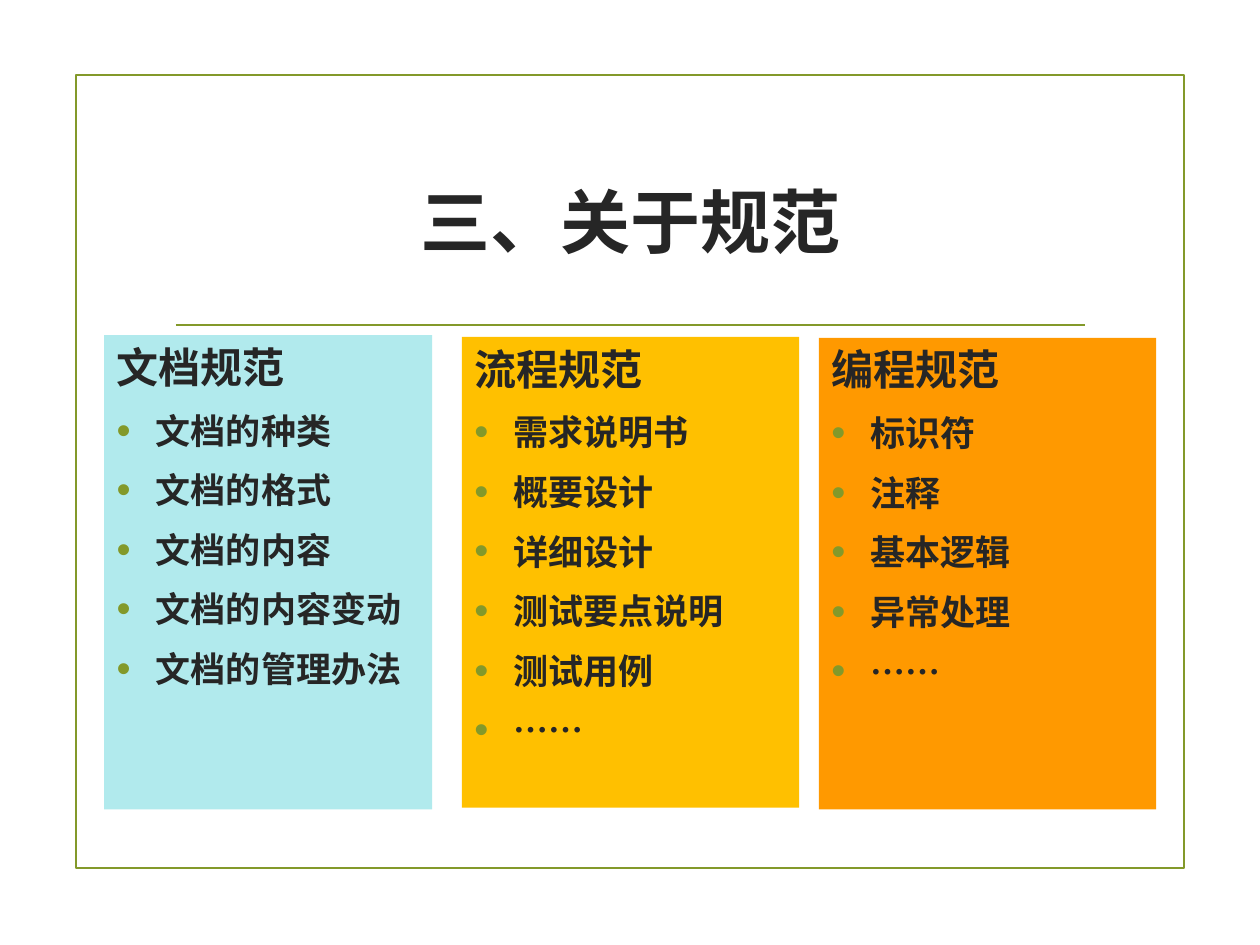
from dataclasses import dataclass

import pptx
import pptx.dml.color
import pptx.enum.shapes
import pptx.enum.text
import pptx.oxml.ns
import pptx.slide
import pptx.text.text
import pptx.util
from lxml import etree

Pt = pptx.util.Pt
RGBColor = pptx.dml.color.RGBColor
PP_ALIGN = pptx.enum.text.PP_ALIGN
MSO_ANCHOR = pptx.enum.text.MSO_ANCHOR
MSO_SHAPE = pptx.enum.shapes.MSO_SHAPE
qn = pptx.oxml.ns.qn

FONT = "Noto Sans CJK SC"
INK = RGBColor(0x26, 0x26, 0x26)
OLIVE = RGBColor(0x83, 0x99, 0x2A)
AQUA = RGBColor(0xB1, 0xEA, 0xED)
AMBER = RGBColor(0xFF, 0xC0, 0x00)
ORANGE = RGBColor(0xFF, 0x99, 0x00)
RULE_WIDTH = 1.25
BULLET_INDENT = 22.5


@dataclass
class Column:
    left: float
    top: float
    width: float
    height: float
    color: RGBColor
    heading: str
    items: list[str]


COLUMNS = [
    Column(59.5, 191.5, 187.5, 271, AQUA, "文档规范",
           ["文档的种类", "文档的格式", "文档的内容", "文档的内容变动", "文档的管理办法"]),
    Column(264, 192.5, 192.75, 269, AMBER, "流程规范",
           ["需求说明书", "概要设计", "详细设计", "测试要点说明", "测试用例", "……"]),
    Column(468, 193, 192.75, 269.5, ORANGE, "编程规范",
           ["标识符", "注释", "基本逻辑", "异常处理", "……"]),
]


def add_bullet(paragraph: pptx.text.text._Paragraph) -> None:
    props = paragraph._p.get_or_add_pPr()
    props.set("marL", str(Pt(BULLET_INDENT)))
    props.set("indent", str(-Pt(BULLET_INDENT)))
    color = etree.SubElement(props, qn("a:buClr"))
    etree.SubElement(color, qn("a:srgbClr"), val=str(OLIVE))
    etree.SubElement(props, qn("a:buSzPct"), val="115000")
    etree.SubElement(props, qn("a:buFont"), typeface="Arial")
    etree.SubElement(props, qn("a:buChar"), char="•")


def write(paragraph: pptx.text.text._Paragraph, text: str, *, size: float,
          line: float, before: float = 0, after: float = 0,
          align: PP_ALIGN = PP_ALIGN.LEFT, bullet: bool = False) -> None:
    paragraph.alignment = align
    paragraph.line_spacing = Pt(line)
    paragraph.space_before = Pt(before)
    paragraph.space_after = Pt(after)
    if bullet:
        add_bullet(paragraph)
    run = paragraph.add_run()
    run.text = text
    run.font.size = Pt(size)
    run.font.bold = True
    run.font.color.rgb = INK
    run.font.name = FONT
    etree.SubElement(run.font._element, qn("a:ea"), typeface=FONT)


def draw_column(slide: pptx.slide.Slide, column: Column) -> None:
    panel = slide.shapes.add_shape(
        MSO_SHAPE.RECTANGLE, Pt(column.left), Pt(column.top),
        Pt(column.width), Pt(column.height))
    panel.shadow.inherit = False
    panel.fill.solid()
    panel.fill.fore_color.rgb = column.color
    panel.line.fill.background()
    frame = panel.text_frame
    frame.word_wrap = True
    frame.vertical_anchor = MSO_ANCHOR.TOP
    write(frame.paragraphs[0], column.heading, size=24, line=28.8, before=2.4, after=6)
    for item in column.items:
        write(frame.add_paragraph(), item, size=20, line=24, before=4, after=6, bullet=True)


def draw_border(slide: pptx.slide.Slide) -> None:
    border = slide.shapes.add_shape(
        MSO_SHAPE.RECTANGLE, Pt(43.5), Pt(42.75), Pt(633), Pt(453.5))
    border.shadow.inherit = False
    border.fill.background()
    border.line.color.rgb = OLIVE
    border.line.width = Pt(RULE_WIDTH)


def draw_title(slide: pptx.slide.Slide, text: str) -> None:
    title = slide.shapes.add_textbox(Pt(92.5), Pt(72), Pt(535.5), Pt(103))
    title.text_frame.word_wrap = True
    title.text_frame.vertical_anchor = MSO_ANCHOR.MIDDLE
    write(title.text_frame.paragraphs[0], text, size=40, line=53, align=PP_ALIGN.CENTER)

    # Rule below the title
    rule = slide.shapes.add_connector(
        pptx.enum.shapes.MSO_CONNECTOR.STRAIGHT, Pt(100.5), Pt(185.5), Pt(620), Pt(185.5))
    rule.line.color.rgb = OLIVE
    rule.line.width = Pt(RULE_WIDTH)
    etree.SubElement(rule._element.spPr, qn("a:effectLst"))


def main() -> None:
    deck = pptx.Presentation()
    deck.slide_width, deck.slide_height = Pt(720), Pt(540)
    slide = deck.slides.add_slide(deck.slide_layouts[6])

    draw_border(slide)
    draw_title(slide, "三、关于规范")
    # Three kinds of standard, side by side
    for column in COLUMNS:
        draw_column(slide, column)

    deck.save("out.pptx")


if __name__ == "__main__":
    main()
